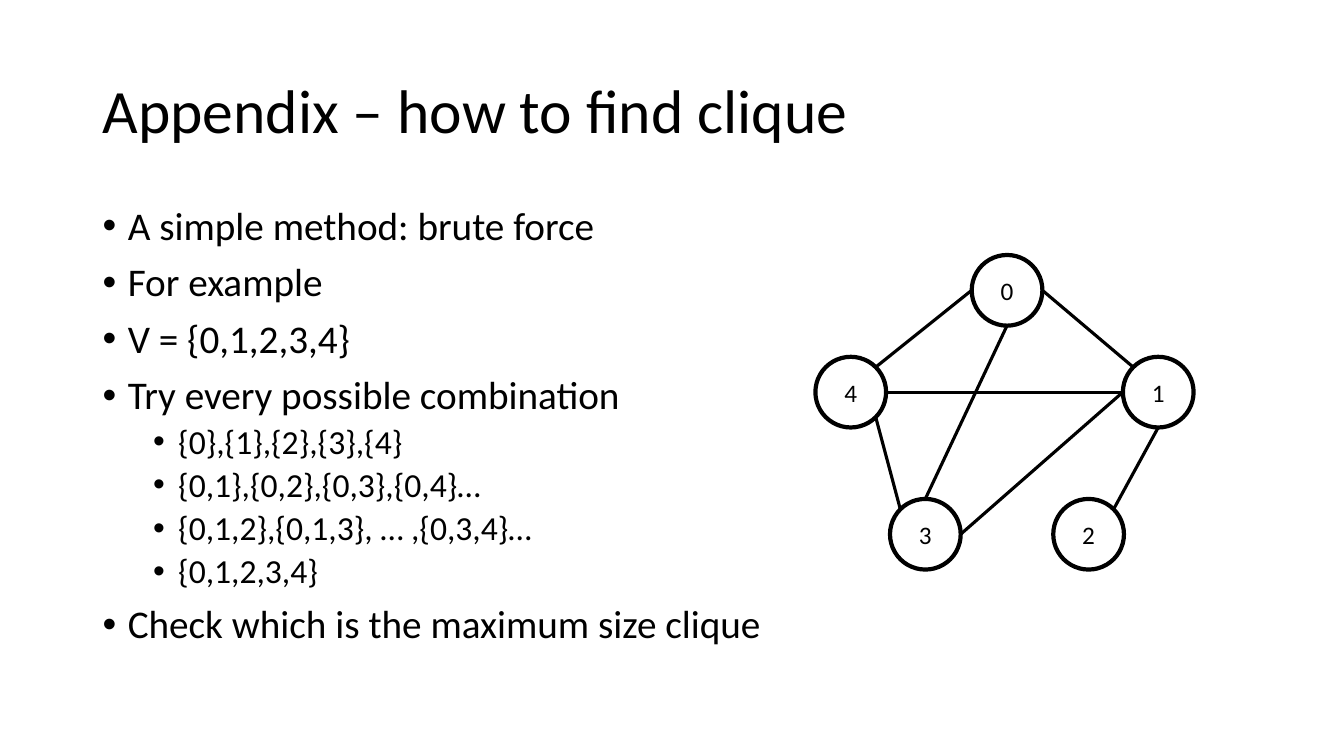
from math import cos, radians, sin

from lxml import etree
from pptx import Presentation
from pptx.dml.color import RGBColor
from pptx.enum.shapes import MSO_CONNECTOR, MSO_SHAPE
from pptx.enum.text import MSO_ANCHOR, PP_ALIGN
from pptx.oxml.ns import qn
from pptx.util import Emu, Inches, Pt


def color(value):
    return RGBColor.from_string(value)


def write(paragraph, text, size):
    run = paragraph.add_run()
    run.text = text
    run.font.name = "Calibri"
    run.font.size = Pt(size)
    run.font.color.rgb = color(BLACK)


BLACK = "000000"
prs = Presentation()
prs.slide_width, prs.slide_height = Emu(12192000), Inches(7.5)
slide = prs.slides.add_slide(prs.slide_layouts[6])
shapes = slide.shapes
col, row = prs.slide_width / 100, prs.slide_height / 100
left, width = int(6.9 * col), int(86.25 * col)

title = shapes.add_textbox(left, int(5.33 * row), width, int(19.33 * row)).text_frame
title.word_wrap = True
title.vertical_anchor = MSO_ANCHOR.MIDDLE
title.paragraphs[0].line_spacing = 0.9
write(title.paragraphs[0], "Appendix – how to find clique", 44)

steps = [
    (0, "A simple method: brute force"),
    (0, "For example"),
    (0, "V = {0,1,2,3,4}"),
    (0, "Try every possible combination "),
    (1, "{0},{1},{2},{3},{4}"),
    (1, "{0,1},{0,2},{0,3},{0,4}…"),
    (1, "{0,1,2},{0,1,3}, … ,{0,3,4}…"),
    (1, "{0,1,2,3,4}"),
    (0, "Check which is the maximum size clique"),
]
body = shapes.add_textbox(left, int(26.67 * row), width, int(63.47 * row)).text_frame
body.word_wrap = True
for i, (level, text) in enumerate(steps):
    paragraph = body.add_paragraph() if i else body.paragraphs[0]
    paragraph.level = level
    paragraph.line_spacing = 0.9
    paragraph.space_before = Pt(5 if level else 10)
    props = paragraph._p.get_or_add_pPr()
    props.set("marL", str(Inches(0.25 + 0.5 * level)))
    props.set("indent", str(-Inches(0.25)))
    etree.SubElement(props, qn("a:buFont")).set("typeface", "Arial")
    etree.SubElement(props, qn("a:buChar")).set("char", "•")
    write(paragraph, text, 24 if level else 28)

radius = 2.63 * col
centers = {
    4: (63.3, 51.87),
    1: (86.18, 51.87),
    3: (68.85, 70.67),
    2: (81, 70.67),
    0: (74.93, 38.4),
}
for vertex, (x, y) in centers.items():
    circle = shapes.add_shape(
        MSO_SHAPE.OVAL, int(x * col - radius), int(y * row - radius),
        int(2 * radius), int(2 * radius))
    circle.shadow.inherit = False
    circle.fill.background()
    circle.line.color.rgb = color(BLACK)
    circle.line.width = Pt(3)
    circle.text_frame.vertical_anchor = MSO_ANCHOR.MIDDLE
    label = circle.text_frame.paragraphs[0]
    label.alignment = PP_ALIGN.CENTER
    write(label, str(vertex), 18)

RIGHT, LOWER_RIGHT, BOTTOM, LOWER_LEFT = 0, 45, 90, 135
LEFT, UPPER_LEFT, TOP, UPPER_RIGHT = 180, 225, 270, 315
edges = [
    (0, LEFT, 4, UPPER_RIGHT),
    (0, BOTTOM, 3, TOP),
    (4, LOWER_RIGHT, 3, UPPER_LEFT),
    (4, RIGHT, 1, LEFT),
    (1, BOTTOM, 2, UPPER_RIGHT),
    (0, RIGHT, 1, UPPER_LEFT),
    (3, RIGHT, 1, LEFT),
]
for start, start_angle, end, end_angle in edges:
    ends = []
    for vertex, angle in ((start, start_angle), (end, end_angle)):
        x, y = centers[vertex]
        ends += [int(x * col + radius * cos(radians(angle))),
                 int(y * row + radius * sin(radians(angle)))]
    edge = shapes.add_connector(MSO_CONNECTOR.STRAIGHT, *ends)
    edge.line.color.rgb = color(BLACK)
    edge.line.width = Pt(2.25)
    etree.SubElement(edge._element.spPr, qn("a:effectLst"))

prs.save("out.pptx")
